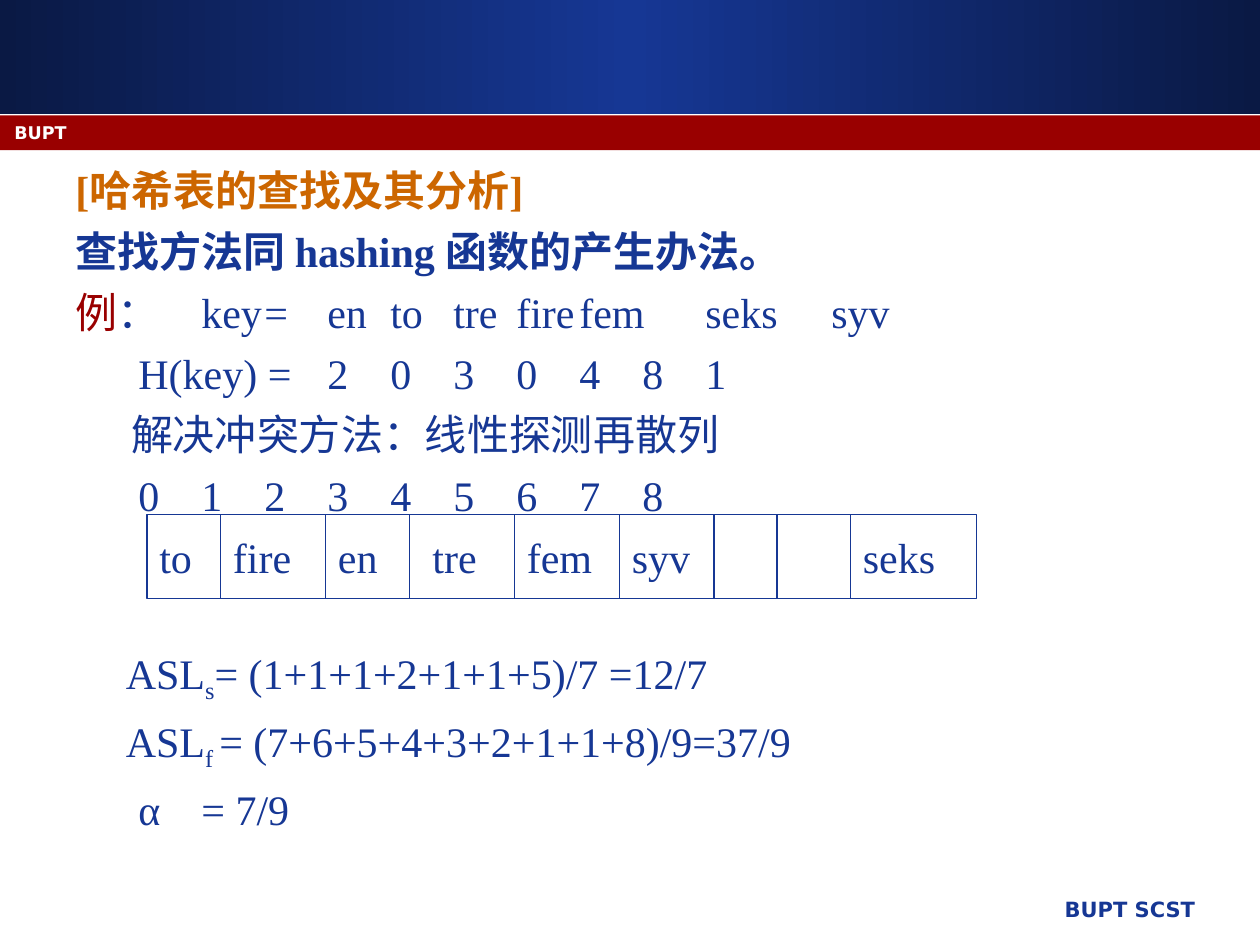
from lxml import etree
from pptx import Presentation
from pptx import util as u
from pptx.dml.color import RGBColor
from pptx.enum import shapes, text
from pptx.oxml import ns

PX = u.Inches(1) // 120  # 120 px to the inch
NAVY = RGBColor(0x16, 0x37, 0x94)
RED = RGBColor(0x99, 0x00, 0x00)
ORANGE = RGBColor(0xCC, 0x66, 0x00)
WHITE = RGBColor(0xFF, 0xFF, 0xFF)
SERIF, SANS = "Times New Roman", "DejaVu Sans"

deck = Presentation()
deck.slide_width, deck.slide_height = 1200 * PX, 900 * PX
page = deck.slides.add_slide(deck.slide_layouts[6])


def add_box(left, top, width, height):
    box = page.shapes.add_textbox(left * PX, top * PX, width * PX, height * PX)
    box.text_frame.word_wrap = True
    return box.text_frame


def add_span(para, words, color=NAVY, size=24, font=SERIF, bold=False):
    span = para.add_run()
    span.text = words
    span.font.name, span.font.size, span.font.bold = font, u.Pt(size), bold
    span.font.color.rgb = color
    return span


# Header bands: a gradient shaded towards both ends, and a red strip
for top, height in ((0, 109), (110, 143 - 110)):
    band = page.shapes.add_shape(shapes.MSO_SHAPE.RECTANGLE, 0, top * PX, 1200 * PX, height * PX)
    band.shadow.inherit = False
    band.line.fill.background()
    if top:
        band.fill.solid()
        band.fill.fore_color.rgb = RED
    else:
        band.fill.gradient()
        band.fill.gradient_angle = 0
        stops = band._element.spPr.find(".//" + ns.qn("a:gsLst"))
        for stop in list(stops):
            stops.remove(stop)
        for place in (0, 50, 100):
            stop = etree.SubElement(stops, ns.qn("a:gs"), pos=str(place * 1000))
            color = etree.SubElement(stop, ns.qn("a:srgbClr"), val=str(NAVY))
            if place != 50:
                etree.SubElement(color, ns.qn("a:gamma"))
                etree.SubElement(color, ns.qn("a:shade"), val="46275")
                etree.SubElement(color, ns.qn("a:invGamma"))

# Footer and header labels
para = add_box(505, 848, 645, 42).paragraphs[0]
para.alignment = text.PP_ALIGN.RIGHT
add_span(para, "BUPT SCST", size=12, font=SANS, bold=True)
add_span(add_box(2, 110, 1110, 30).paragraphs[0], "BUPT", WHITE, 10, SANS, True)

# Body lines: space before (pt), left margin, tab stops, spans (words, colour, bold, subscript)
KEY_TABS = (90, 208, 250, 328, 378, 450, 536, 628, 727)
HASH_TABS = (70, 246, 315, 375, 455, 535, 635, 726)
INDEX_TABS = (90, 180, 270, 350, 439, 539, 619, 690, 759)
LINES = (
    (0, 0, (), [("[哈希表的查找及其分析]", ORANGE, True, False)]),
    (6, 0, (), [("查找方法同 hashing 函数的产生办法。", NAVY, True, False)]),
    (6, 0, KEY_TABS, [("例", RED, False, False),
                      ("：\tkey\t=\ten\tto\ttre\tfire\tfem\tseks\tsyv", NAVY, False, False)]),
    (6, 0, HASH_TABS, [("\tH(key) =\t2\t0\t3\t0\t4\t8\t1", NAVY, False, False)]),
    (6, 53, (), [("解决冲突方法：线性探测再散列", NAVY, False, False)]),
    (6, 0, INDEX_TABS, [("\t0\t1\t2\t3\t4\t5\t6\t7\t8", NAVY, False, False)]),
    (73, 48, (), [("ASL", NAVY, False, False), ("s", NAVY, False, True),
                  ("= (1+1+1+2+1+1+5)/7 =12/7", NAVY, False, False)]),
    (6, 48, (), [("ASL", NAVY, False, False), ("f ", NAVY, False, True),
                 ("= (7+6+5+4+3+2+1+1+8)/9=37/9", NAVY, False, False)]),
    (6, 0, (80, 130), [("\tα\t= 7/9", NAVY, False, False)]),
)
body = add_box(60, 151, 1080, 689)
for number, (before, margin, tabs, spans) in enumerate(LINES):
    para = body.add_paragraph() if number else body.paragraphs[0]
    props = para._p.get_or_add_pPr()
    props.set("marL", str(margin * PX))
    props.set("indent", "0")
    if tabs:
        tab_list = etree.SubElement(props, ns.qn("a:tabLst"))
        for tab in tabs:
            etree.SubElement(tab_list, ns.qn("a:tab"), pos=str(tab * PX), algn="l")
    if before:
        para.space_before = u.Pt(before)
    for words, color, bold, subscript in spans:
        span = add_span(para, words, color, bold=bold)
        if subscript:
            span._r.get_or_add_rPr().set("baseline", "-25000")

# Hash table: frame, dividers and slot contents
EDGES = (140, 210, 310, 390, 490, 590, 680, 740, 810, 930)
SLOTS = ("to", "fire", "en", "tre", "fem", "syv", "", "", "seks")
TOP, BOTTOM = 490, 570
frame = page.shapes.add_shape(shapes.MSO_SHAPE.RECTANGLE, EDGES[0] * PX, TOP * PX,
                              (EDGES[-1] - EDGES[0]) * PX, (BOTTOM - TOP) * PX)
frame.shadow.inherit = False
frame.fill.background()
frame.line.color.rgb, frame.line.width = NAVY, u.Pt(0.75)
for edge in EDGES[1:-1]:
    divider = page.shapes.add_connector(shapes.MSO_CONNECTOR.STRAIGHT,
                                        edge * PX, TOP * PX, edge * PX, BOTTOM * PX)
    divider.line.color.rgb, divider.line.width = NAVY, u.Pt(0.75)
    etree.SubElement(divider._element.spPr, ns.qn("a:effectLst"))
for left, right, word in zip(EDGES, EDGES[1:], SLOTS):
    if word:
        inset = 10 if word == "tre" else 0
        slot = add_box(left + inset, TOP + 10, right - left - inset, 60)
        slot.auto_size = text.MSO_AUTO_SIZE.SHAPE_TO_FIT_TEXT
        add_span(slot.paragraphs[0], word)

deck.save("out.pptx")
